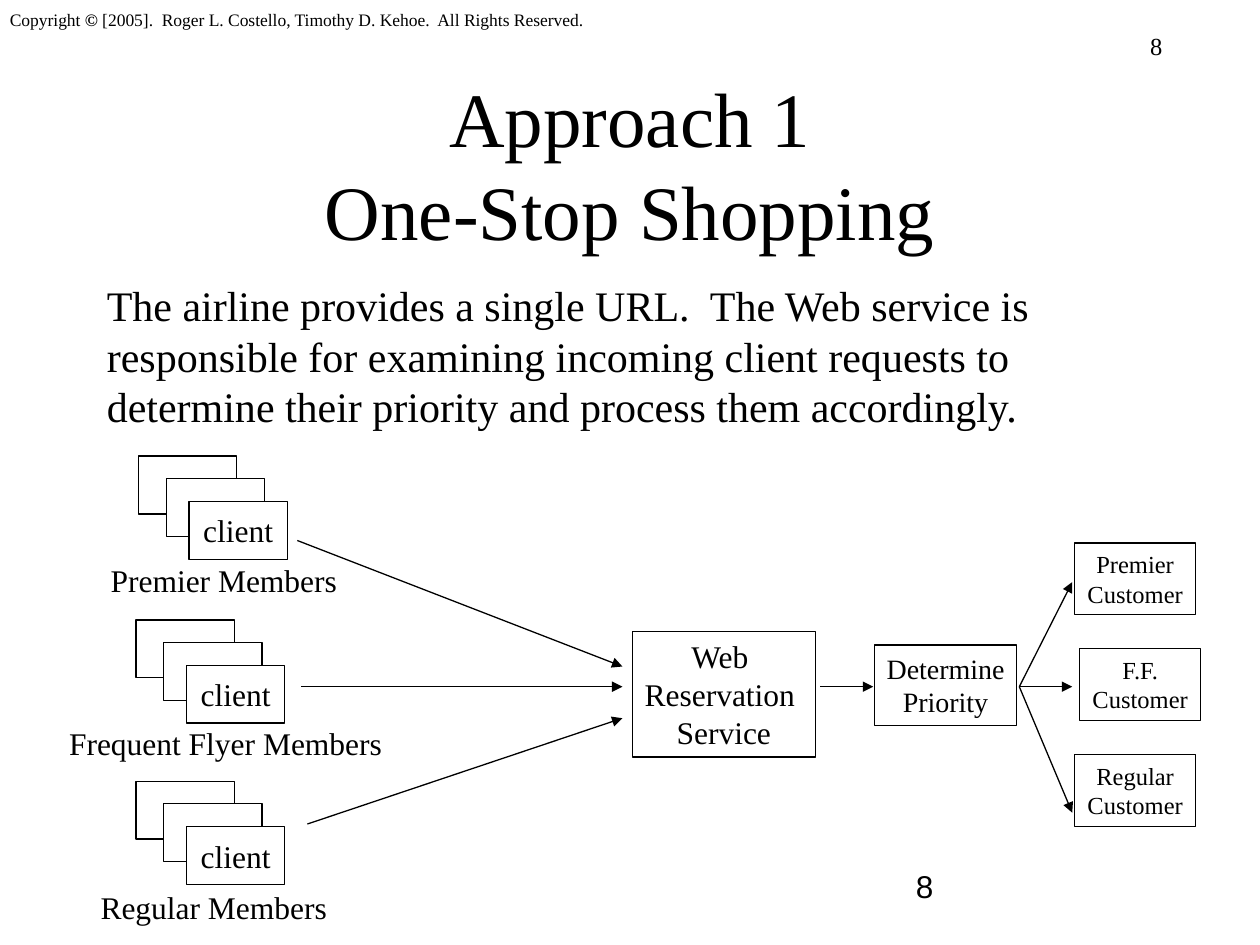
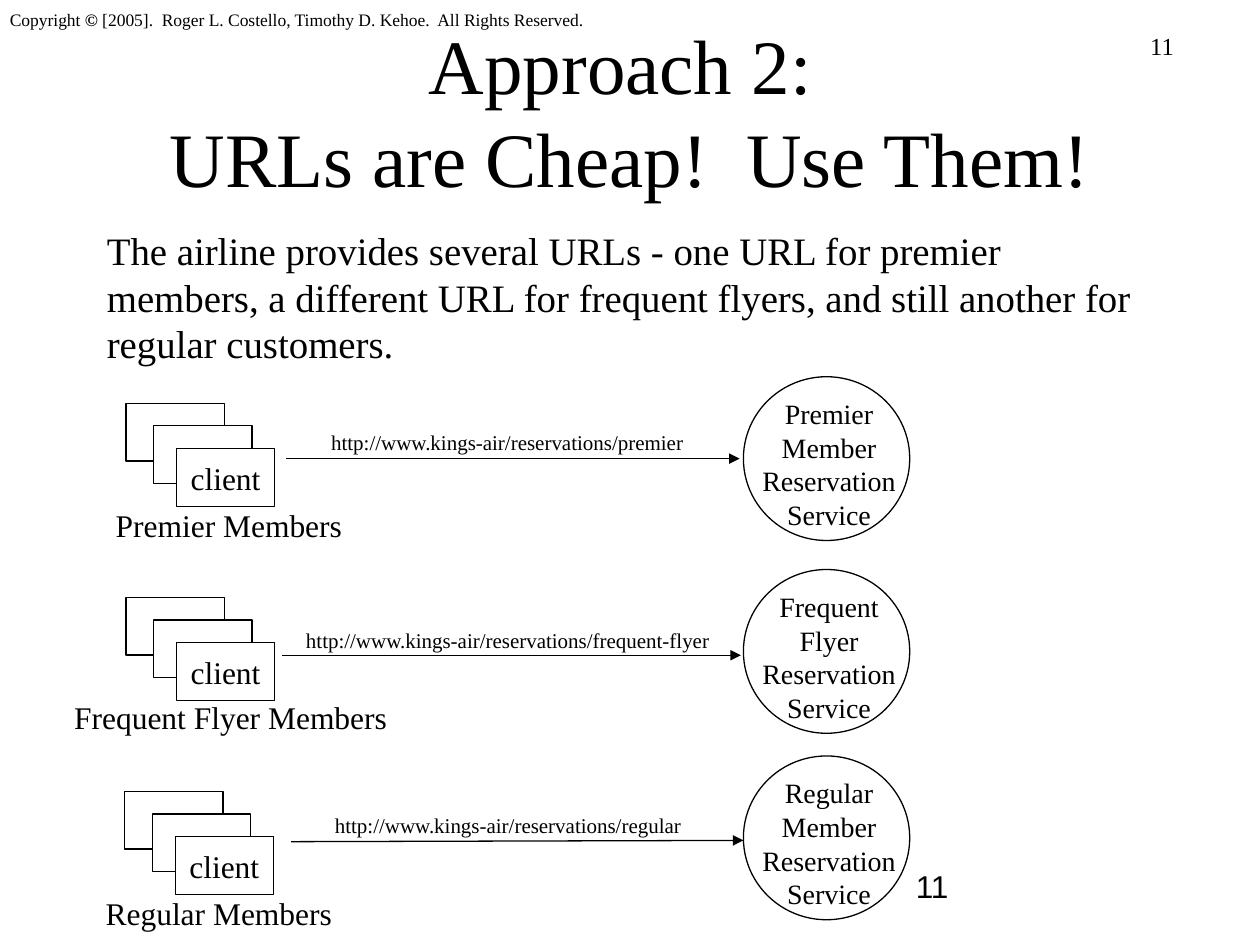
"""Build two slides that compare ways to route airline reservation requests."""
from dataclasses import dataclass

from lxml import etree
from pptx import Presentation
from pptx import util as u
from pptx.dml.color import RGBColor
from pptx.enum import shapes, text
from pptx.oxml import ns

PX = u.Inches(1) // 100
BLACK = RGBColor(0, 0, 0)
WHITE = RGBColor(255, 255, 255)
SERIF = "Times New Roman"
SANS = "Arial"
RECT = shapes.MSO_SHAPE.RECTANGLE
OVAL = shapes.MSO_SHAPE.OVAL
LEFT, MID = text.PP_ALIGN.LEFT, text.PP_ALIGN.CENTER
TOP, HALF = text.MSO_ANCHOR.TOP, text.MSO_ANCHOR.MIDDLE
NOTICE = ("Copyright © [2005].  Roger L. Costello, Timothy D. Kehoe."
          "  All Rights Reserved.")
SITE = "http://www.kings-air/reservations/"


@dataclass(frozen=True)
class Box:
    """A rectangle in px."""
    x: int
    y: int
    w: int
    h: int

    def emu(self) -> list[int]:
        """Return the four lengths in EMU."""
        return [n * PX for n in (self.x, self.y, self.w, self.h)]


@dataclass(frozen=True)
class Line:
    """An arrow from one point to another, in px."""
    x: int
    y: int
    to_x: int
    to_y: int


@dataclass(frozen=True)
class Group:
    """A stack of clients and the caption below it."""
    x: int
    y: int
    name: str
    label: Box


@dataclass(frozen=True)
class Node:
    """A framed step with its words."""
    box: Box
    words: str
    size: int


@dataclass(frozen=True)
class Route:
    """A web address, its arrow and the service that it leads to."""
    url: str
    label: Box
    line: Line
    top: int
    words: str


def write(item, words: str, *, size: float = 18, font: str = SERIF,
          align=LEFT, anchor=TOP, wrap: bool = False, before: int = 0,
          bold: str = "©") -> None:
    """Fill a shape with one paragraph per line, setting one mark in bold."""
    frame = item.text_frame
    frame.word_wrap = wrap
    frame.vertical_anchor = anchor
    for i, row in enumerate(words.split("\n")):
        para = frame.add_paragraph() if i else frame.paragraphs[0]
        para.alignment = align
        para.space_before = u.Pt(before)
        for part in filter(None, row.partition(bold)):
            run = para.add_run()
            run.text = part
            run.font.name = font
            run.font.size = u.Pt(size)
            run.font.bold = part == bold
            run.font.color.rgb = BLACK


def label(slide, box: Box, words: str, **form) -> None:
    """Add a text box."""
    write(slide.shapes.add_textbox(*box.emu()), words, **form)


def frame(slide, kind, box: Box, filled: bool = False):
    """Add an outlined shape, either clear or white."""
    item = slide.shapes.add_shape(kind, *box.emu())
    item.shadow.inherit = False
    if filled:
        item.fill.solid()
        item.fill.fore_color.rgb = WHITE
    else:
        item.fill.background()
    item.line.color.rgb = BLACK
    item.line.width = u.Pt(0.75)
    return item


def arrow(slide, line: Line) -> None:
    """Add a straight line with a solid head at its end."""
    ends = [n * PX for n in (line.x, line.y, line.to_x, line.to_y)]
    item = slide.shapes.add_connector(shapes.MSO_CONNECTOR.STRAIGHT, *ends)
    item.line.color.rgb = BLACK
    item.line.width = u.Pt(0.75)
    etree.SubElement(item.line._get_or_add_ln(), ns.qn("a:tailEnd"),
                     type="triangle")
    etree.SubElement(item._element.spPr, ns.qn("a:effectLst"))


def stack(slide, group: Group) -> None:
    """Draw three overlapping clients and their caption."""
    for dx, dy in ((0, 0), (22, 18), (40, 36)):
        card = frame(slide, RECT, Box(group.x + dx, group.y + dy, 78, 46), True)
    write(card, "client", align=MID, anchor=HALF)
    label(slide, group.label, group.name, wrap=True)


def start(deck, num: str, title: str, top: int, body: str, size: float):
    """Add a slide with its notice, numbers, title and body text."""
    slide = deck.slides.add_slide(deck.slide_layouts[6])
    label(slide, Box(903, 20, 101, 34), num, size=14, wrap=True)
    label(slide, Box(-2, 2, 485, 27), NOTICE, size=10, wrap=True)
    label(slide, Box(75, top, 850, 125), title, size=44, align=MID,
          anchor=HALF, wrap=True)
    label(slide, Box(75, top + 150, 850, 139), body, size=size, wrap=True,
          before=6)
    label(slide, Box(717, 683, 208, 50), num, font=SANS, wrap=True)
    return slide


def single(deck) -> None:
    """Draw the approach with one address for all clients."""
    slide = start(
        deck, "8", "Approach 1\nOne-Stop Shopping", 67,
        "The airline provides a single URL.  The Web service is responsible "
        "for examining incoming client requests to determine their priority "
        "and process them accordingly.", 24)
    for group in (
            Group(110, 362, "Premier Members", Box(78, 440, 210, 40)),
            Group(108, 492, "Frequent Flyer Members", Box(45, 570, 280, 40)),
            Group(108, 620, "Regular Members", Box(70, 700, 210, 40))):
        stack(slide, group)
    for node in (
            Node(Box(502, 501, 145, 100), "Web \nReservation \nService", 18),
            Node(Box(694, 512, 113, 64), "Determine\nPriority", 16),
            Node(Box(853, 431, 96, 57), "Premier\nCustomer", 14),
            Node(Box(857, 515, 96, 57), "F.F.\nCustomer", 14),
            Node(Box(853, 599, 96, 57), "Regular\nCustomer", 14)):
        write(frame(slide, RECT, node.box), node.words, size=node.size,
              align=MID)
    for line in (Line(236, 429, 494, 529), Line(239, 545, 494, 545),
                 Line(244, 654, 494, 570), Line(651, 545, 693, 545)):
        arrow(slide, line)
    for end in (462, 545, 645):
        arrow(slide, Line(809, 545, 851, end))


def several(deck) -> None:
    """Draw the approach with one address for each kind of client."""
    slide = start(
        deck, "11", "Approach 2: \nURLs are Cheap!  Use Them!", 25,
        "The airline provides several URLs - one URL for premier members, a "
        "different URL for frequent flyers, and still another for regular "
        "customers.", 22.2)
    for group in (
            Group(100, 320, "Premier Members", Box(82, 397, 210, 40)),
            Group(100, 474, "Frequent Flyer Members", Box(49, 549, 280, 40)),
            Group(99, 628, "Regular Members", Box(74, 705, 210, 40))):
        stack(slide, group)
    for route in (
            Route("premier", Box(253, 336, 301, 30),
                  Line(227, 364, 587, 364), 299, "Premier\nMember"),
            Route("frequent-flyer", Box(233, 493, 341, 30),
                  Line(224, 520, 588, 520), 452, "Frequent\nFlyer"),
            Route("regular", Box(256, 640, 296, 30),
                  Line(231, 668, 590, 667), 600, "Regular\nMember")):
        arrow(slide, route.line)
        label(slide, route.label, SITE + route.url, size=12)
        frame(slide, OVAL, Box(590, route.top, 132, 130))
        label(slide, Box(595, route.top + 11, 126, 117),
              route.words + "\nReservation\nService", size=16, align=MID)


def main() -> None:
    """Build and save the deck."""
    deck = Presentation()
    deck.slide_width, deck.slide_height = 1000 * PX, 750 * PX
    single(deck)
    several(deck)
    deck.save("out.pptx")


if __name__ == "__main__":
    main()
